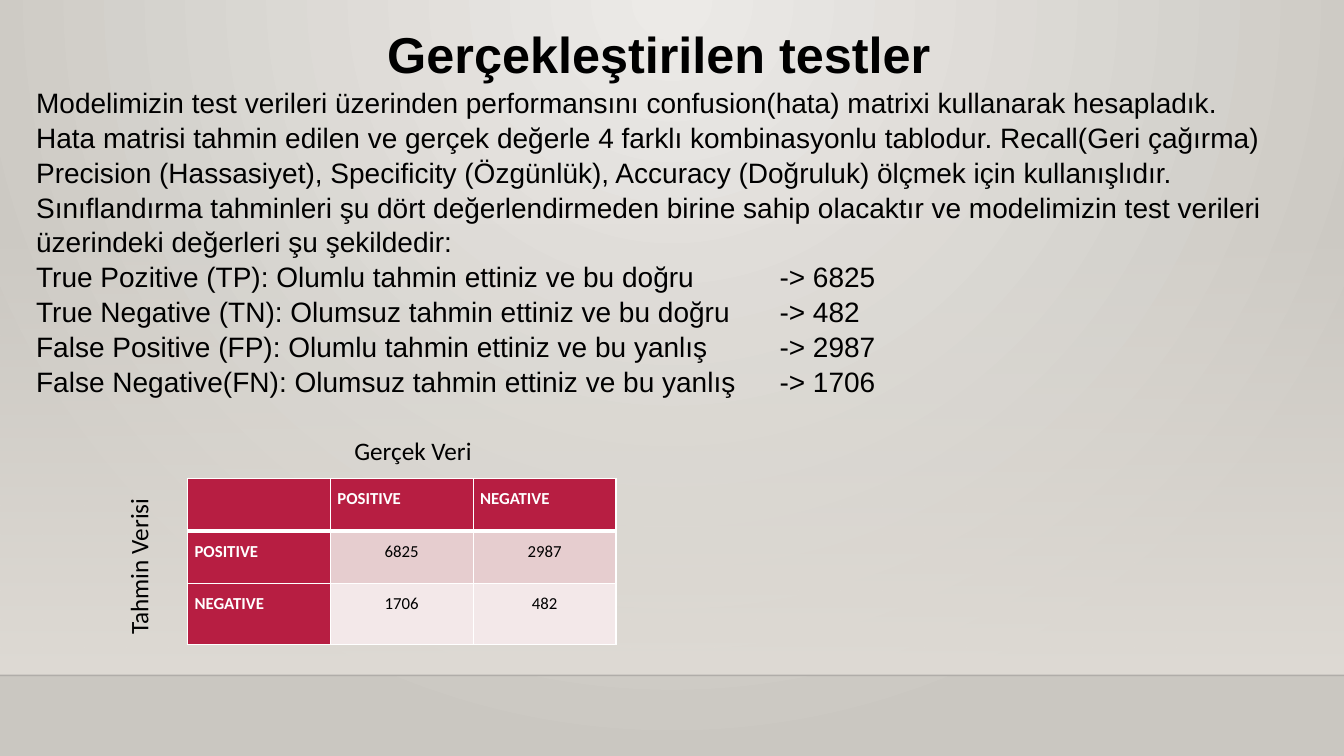
from dataclasses import dataclass

from lxml import etree
from pptx import Presentation
from pptx import util as u
from pptx.dml.color import RGBColor
from pptx.enum import shapes, text
from pptx.oxml import ns

Pt = u.Pt


@dataclass(frozen=True)
class Theme:
    """Colours, fonts and type sizes of the slide."""
    ink: str = "000000"
    white: str = "FFFFFF"
    crimson: str = "B71E42"
    bands: tuple = ("E6CDCF", "F3E8E9")
    glow: tuple = ("ECEAE7", "CAC7C1")
    wall: str = "DFDBD5"
    edge: str = "000001"
    body_font: str = "Arial"
    table_font: str = "Calibri"
    title: int = 36
    body: int = 20
    axis: int = 18
    cell: int = 12


T = Theme()
TITLE = "Gerçekleştirilen testler"
INTRO = (
    "Modelimizin test verileri üzerinden performansını confusion(hata) matrixi "
    "kullanarak hesapladık. Hata matrisi tahmin edilen ve gerçek değerle 4 farklı "
    "kombinasyonlu tablodur. Recall(Geri çağırma) Precision (Hassasiyet), Specificity "
    "(Özgünlük), Accuracy (Doğruluk) ölçmek için kullanışlıdır. Sınıflandırma "
    "tahminleri şu dört değerlendirmeden birine sahip olacaktır ve modelimizin test "
    "verileri üzerindeki değerleri şu şekildedir:")
OUTCOMES = [
    ("True Pozitive (TP): Olumlu tahmin ettiniz ve bu doğru", 6825),
    ("True Negative (TN): Olumsuz tahmin ettiniz ve bu doğru", 482),
    ("False Positive (FP): Olumlu tahmin ettiniz ve bu yanlış", 2987),
    ("False Negative(FN): Olumsuz tahmin ettiniz ve bu yanlış", 1706),
]
MATRIX = [("", "POSITIVE", "NEGATIVE"),
          ("POSITIVE", "6825", "2987"),
          ("NEGATIVE", "1706", "482")]


def sub(parent, tag, **attrs):
    """Append a DrawingML child element."""
    return etree.SubElement(parent, ns.qn(tag), {k: str(v) for k, v in attrs.items()})


def set_alpha(color_parent, percent):
    """Set the opacity of the RGB colour under an element."""
    sub(color_parent.find(".//" + ns.qn("a:srgbClr")), "a:alpha", val=percent * 1000)


def set_gradient(fill, colors):
    """Give a fill a two-stop gradient."""
    fill.gradient()
    for stop, color in zip(fill.gradient_stops, colors):
        stop.color.rgb = RGBColor.from_string(color)


def style(p, size, font, color=T.ink, bold=False):
    """Set the font of a whole paragraph."""
    p.font.size, p.font.name, p.font.bold = Pt(size), font, bold
    p.font.color.rgb = RGBColor.from_string(color)


def add_text(slide, box, wrap=True):
    """Add an empty text box and return it with its text frame."""
    sp = slide.shapes.add_textbox(*map(Pt, box))
    sp.text_frame.word_wrap = wrap
    return sp, sp.text_frame


def draw_backdrop(slide, box):
    """Paint the glowing wall and the floor edge over the box."""
    x, y, w, h = box
    set_gradient(slide.background.fill, T.glow)
    grad = slide.element.find(".//" + ns.qn("a:gradFill"))
    grad.remove(grad.find(ns.qn("a:lin")))
    sub(sub(grad, "a:path", path="circle"), "a:fillToRect",
        l=43000, t=0, r=43000, b=100000)

    floor = y + 482.4
    top = y + 159
    wall = slide.shapes.add_shape(shapes.MSO_SHAPE.RECTANGLE,
                                  *map(Pt, (x, top, w, floor - top)))
    wall.shadow.inherit = False
    wall.line.fill.background()
    set_gradient(wall.fill, (T.wall, T.wall))
    wall.fill.gradient_angle = 270
    stops = wall.element.findall(".//" + ns.qn("a:gs"))
    for stop, percent in zip(stops, (0, 100)):
        set_alpha(stop, percent)

    edge = slide.shapes.add_connector(shapes.MSO_CONNECTOR.STRAIGHT,
                                      *map(Pt, (x, floor, x + w, floor)))
    edge.line.width = Pt(1)
    edge.line.color.rgb = RGBColor.from_string(T.edge)
    props = edge.element.spPr
    set_alpha(props, 20)
    sub(props, "a:effectLst")


def draw_body(slide, box):
    """Write the title, the introduction and the tabbed outcome list."""
    tf = add_text(slide, box)[1]
    lines = [TITLE, INTRO] + [f"{label}\t-> {count}" for label, count in OUTCOMES]
    for i, line in enumerate(lines):
        p = tf.add_paragraph() if i else tf.paragraphs[0]
        p.add_run().text = line
        p.line_spacing = 1.04
        style(p, T.body if i else T.title, T.body_font, bold=not i)
        if "\t" in line:
            tabs = etree.Element(ns.qn("a:tabLst"))
            sub(tabs, "a:tab", pos=Pt(531), algn="l")
            p.font  # the tab list goes before the default run properties
            p._p.pPr.find(ns.qn("a:defRPr")).addprevious(tabs)
    tf.paragraphs[0].alignment = text.PP_ALIGN.CENTER


def set_borders(cell, top, bottom):
    """Draw white cell borders with the given top and bottom widths."""
    tc_pr = cell._tc.get_or_add_tcPr()
    for i, (side, width) in enumerate(zip("LRTB", (1, 1, top, bottom))):
        ln = etree.Element(ns.qn(f"a:ln{side}"), w=str(Pt(width)))
        sub(sub(ln, "a:solidFill"), "a:srgbClr", val=T.white)
        tc_pr.insert(i, ln)


def draw_matrix(slide, box):
    """Build the confusion matrix table with its two axis labels."""
    x, y, w, h = box
    table = slide.shapes.add_table(3, 3, *map(Pt, box)).table
    table.first_row = table.horz_banding = False
    for col in table.columns:
        col.width = Pt(w / 3)
    for row, height in zip(table.rows, (37.5, 37.5, h - 75)):
        row.height = Pt(height)
    for r, values in enumerate(MATRIX):
        for c, value in enumerate(values):
            cell = table.cell(r, c)
            head = r == 0 or c == 0
            cell.margin_left = cell.margin_right = Pt(5)
            cell.margin_top = cell.margin_bottom = 0
            cell.fill.solid()
            cell.fill.fore_color.rgb = RGBColor.from_string(
                T.crimson if head else T.bands[r - 1])
            set_borders(cell, 3 if r == 1 else 1, 3 if r == 0 else 1)
            p = cell.text_frame.paragraphs[0]
            if value:
                p.add_run().text = value
            p.line_spacing = 1.5
            p.alignment = text.PP_ALIGN.LEFT if head else text.PP_ALIGN.CENTER
            style(p, T.cell, T.table_font, T.white if head else T.ink, head)

    labels = [("Gerçek Veri", (x + 112, y - 34.5, 110, 29.5), 0),
              ("Tahmin Verisi", (x - 94.5, y + 44.5, 119, 29), 270)]
    for label, place, turn in labels:
        sp, tf = add_text(slide, place, wrap=False)
        sp.rotation = turn
        p = tf.paragraphs[0]
        p.add_run().text = label
        style(p, T.axis, T.table_font)


def main():
    """Build the slide and save it."""
    prs = Presentation()
    prs.slide_width, prs.slide_height = Pt(960), Pt(540)
    slide = prs.slides.add_slide(prs.slide_layouts[6])
    draw_backdrop(slide, (0, 0, 960, 540))
    draw_body(slide, (18.7, 11.5, 904, 342))
    draw_matrix(slide, (134, 342, 306, 118.5))
    prs.save("out.pptx")


main()
